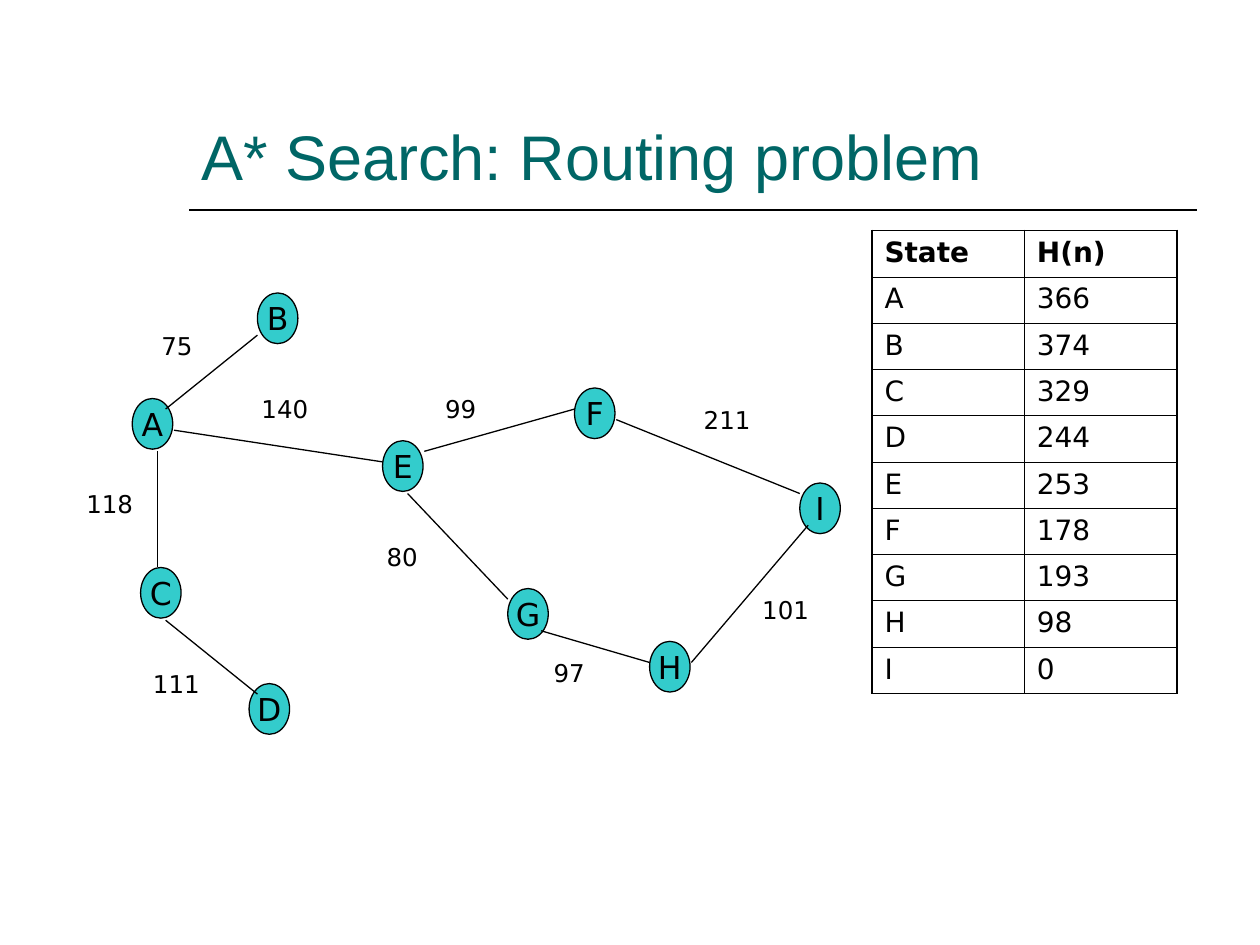
"""Build the A* routing slide: a weighted graph beside its heuristic table."""
from pptx import Presentation, util as u
from pptx.dml.color import RGBColor
from pptx.enum import shapes, text
from pptx.oxml import parse_xml
from pptx.oxml.ns import nsdecls

THEME = dict(title="006666", node="33CCCC", ink="000000", head="Arial", body="DejaVu Sans",
             title_pt=36, node_pt=18, label_pt=14, cell_pt=16,
             line_pt=0.75, rule_pt=1, inner_pt=0.45, outer_pt=1.08)

prs = Presentation()
prs.slide_width, prs.slide_height = u.Inches(10), u.Inches(7.5)
W, H = prs.slide_width, prs.slide_height
s = prs.slides.add_slide(prs.slide_layouts[6])


def write(tf, words, size, color="ink", font="body", bold=False):
    p = tf.paragraphs[0]
    p.text = words
    p.font.size, p.font.name, p.font.bold = u.Pt(THEME[size]), THEME[font], bold
    p.font.color.rgb = RGBColor.from_string(THEME[color])
    return p


def line(x1, y1, x2, y2, width):
    cn = s.shapes.add_connector(shapes.MSO_CONNECTOR.STRAIGHT, *map(int, (x1, y1, x2, y2)))
    cn.line.color.rgb = RGBColor.from_string(THEME["ink"])
    cn.line.width = u.Pt(THEME[width])
    cn._element.spPr.append(parse_xml(f"<a:effectLst {nsdecls('a')}/>"))


line(0.15 * W, H / 4.5, 0.95 * W, H / 4.5, "rule_pt")
sp = s.shapes.add_textbox(int(0.15 * W), int(H / 22.5), int(0.8 * W), int(H / 6))
tf = sp.text_frame
tf.word_wrap = True
tf.vertical_anchor = text.MSO_ANCHOR.BOTTOM
write(tf, "A* Search: Routing problem", "title_pt", "title", "head")

COL, ROW = W / 151, H / 89.5
LEFT, TOP = 0.105 * W, 0.31 * H
nodes = {"A": (0, 10), "C": (1, 26), "B": (15, 0), "E": (30, 14), "F": (53, 9),
         "G": (45, 28), "H": (62, 33), "I": (80, 18), "D": (14, 37)}
edges = [(4, 11, 15, 4), (3, 15, 3, 26), (4, 31, 15, 38), (5, 13, 30, 16), (35, 15, 53, 11),
         (33, 19, 45, 29), (49, 32, 62, 35), (67, 35, 81, 22), (58, 12, 80, 19)]
costs = [("75", 2, 3, 7), ("118", -7, 18, 9), ("140", 14, 9, 10), ("111", 1, 35, 10),
         ("99", 36, 9, 10), ("80", 29, 23, 10), ("97", 49, 34, 10), ("101", 74, 28, 10),
         ("211", 67, 10, 10)]

for name, (c, r) in nodes.items():
    sp = s.shapes.add_shape(shapes.MSO_SHAPE.OVAL, int(LEFT + c * COL), int(TOP + r * ROW),
                            int(4.85 * COL), int(4.8 * ROW))
    sp.shadow.inherit = False
    sp.fill.solid()
    sp.fill.fore_color.rgb = RGBColor.from_string(THEME["node"])
    sp.line.color.rgb = RGBColor.from_string(THEME["ink"])
    sp.line.width = u.Pt(THEME["line_pt"])
    tf = sp.text_frame
    tf.word_wrap = False
    tf.vertical_anchor = text.MSO_ANCHOR.MIDDLE
    write(tf, name, "node_pt").alignment = text.PP_ALIGN.CENTER

for c1, r1, c2, r2 in edges:
    line(LEFT + c1 * COL, TOP + r1 * ROW, LEFT + c2 * COL, TOP + r2 * ROW, "line_pt")

for cost, c, r, span in costs:
    sp = s.shapes.add_textbox(int(LEFT + c * COL), int(TOP + r * ROW), int(span * COL), int(4 * ROW))
    sp.text_frame.word_wrap = True
    write(sp.text_frame, cost, "label_pt")

rows = [("State", "H(n)"), *zip("ABCDEFGHI", "366 374 329 244 253 178 193 98 0".split())]
last = len(rows) - 1
tbl = s.shapes.add_table(len(rows), 2, int(0.692 * W), int(0.244 * H),
                         int(0.242 * W), int(0.49 * H)).table
for i, row in enumerate(rows):
    for j, words in enumerate(row):
        cell = tbl.cell(i, j)
        write(cell.text_frame, words, "cell_pt", bold=i == 0)
        for side, outer in zip("LRTB", (j == 0, j == 1, i == 0, i == last)):
            width = u.Pt(THEME["outer_pt" if outer else "inner_pt"])
            cell._tc.get_or_add_tcPr().append(parse_xml(
                f'<a:ln{side} {nsdecls("a")} w="{width}"><a:solidFill>'
                f'<a:srgbClr val="{THEME["ink"]}"/></a:solidFill></a:ln{side}>'))
        cell.fill.background()

prs.save("out.pptx")
